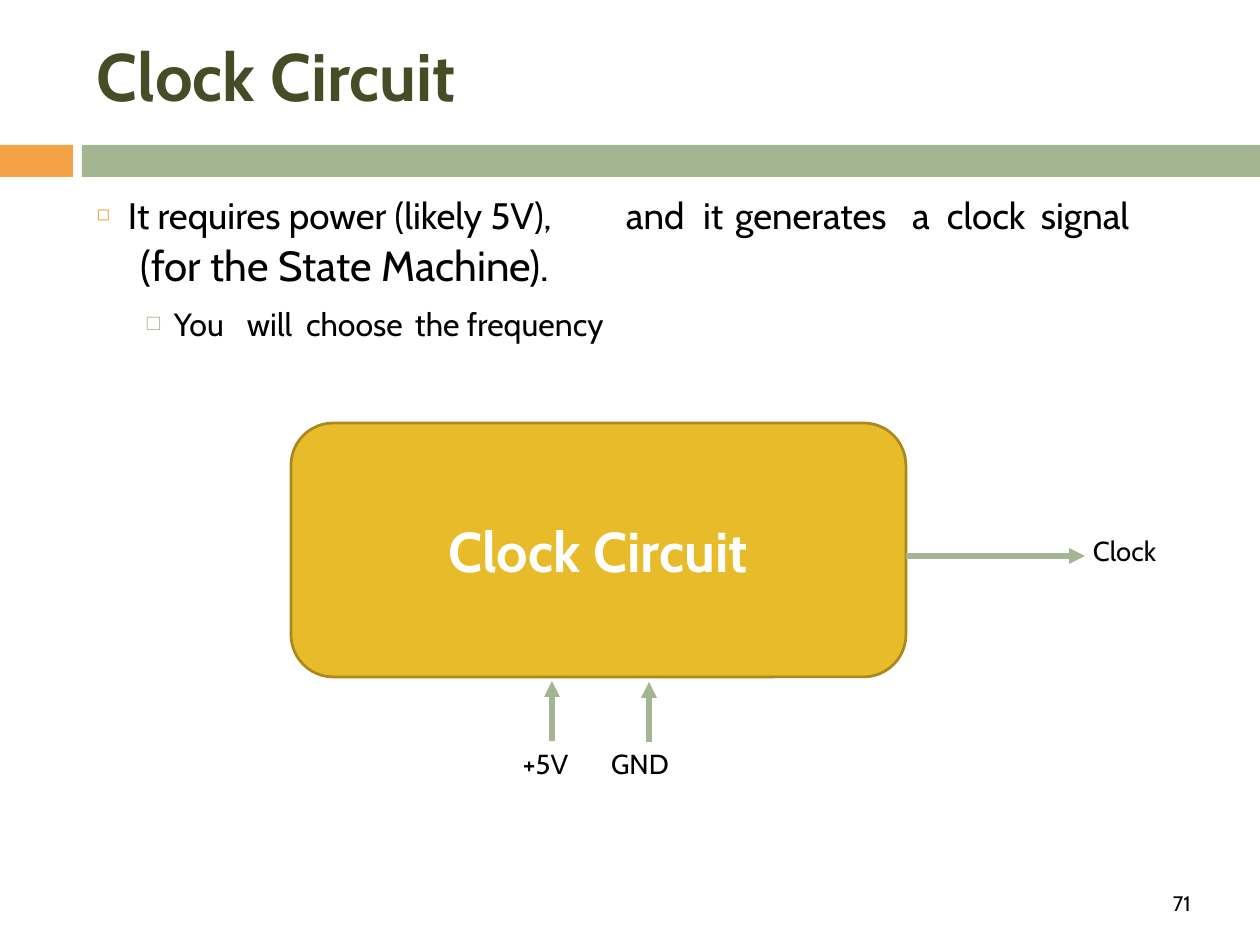
from lxml import etree
from pptx import Presentation
from pptx.dml.color import RGBColor
from pptx.enum.shapes import MSO_CONNECTOR as Connector, MSO_SHAPE as Shape
from pptx.enum.text import MSO_ANCHOR as Anchor, PP_ALIGN as Align
from pptx.oxml.ns import qn
from pptx.util import Emu, Pt

PX_PER_INCH = 126
ASCENT = 0.965  # of the Cabin font, as a share of its size
COLORS = {
    "title": "444D25",
    "orange": "F3A346",
    "green": "A4B592",
    "gold": "E7BB29",
    "outline": "AA881B",
    "black": "000000",
    "white": "FFFFFF",
}
TITLE = {"size": Pt(38.3), "bold": True}
BODY = {"size": Pt(21)}
BODY_WRAPPED = {"size": Pt(24)}
SUB = {"size": Pt(18.3)}
LABEL = {"size": Pt(15.7)}
NUMBER = {"size": Pt(12)}
BLOCK = {"size": Pt(32), "bold": True}


def px(value):
    return Emu(round(value * 914400 / PX_PER_INCH))


def color(name):
    return RGBColor.from_string(COLORS[name])


def write(para, words, style, ink="black"):
    span = para.add_run()
    span.text = words
    for name, value in {"name": "Cabin", **style}.items():
        setattr(span.font, name, value)
    span.font.color.rgb = color(ink)


def add_bullet(para, char, ink, indent, percent):
    props = para._p.get_or_add_pPr()
    props.set("marL", str(px(indent)))
    props.set("indent", str(-px(indent)))
    tint = etree.SubElement(props, qn("a:buClr"))
    etree.SubElement(tint, qn("a:srgbClr"), val=COLORS[ink])
    etree.SubElement(props, qn("a:buSzPct"), val=str(percent * 1000))
    etree.SubElement(props, qn("a:buFont"), typeface="Arial")
    etree.SubElement(props, qn("a:buChar"), char=char)


def add_text(page, words, left, baseline, width, style, ink="black", bullet=None):
    """Place text so that its first line stands on the baseline."""
    size = style["size"].pt * PX_PER_INCH / 72
    box = page.shapes.add_textbox(
        px(left), px(baseline - ASCENT * size), px(width), px(1.22 * size))
    frame = box.text_frame
    margins = dict.fromkeys(
        ("margin_left", "margin_top", "margin_right", "margin_bottom"), 0)
    for name, value in {**margins, "word_wrap": True}.items():
        setattr(frame, name, value)
    para = frame.paragraphs[0]
    if bullet:
        add_bullet(para, *bullet)
    write(para, words, style, ink)
    return box


def add_block(page, kind, left, top, width, height, fill, outline=None):
    block = page.shapes.add_shape(kind, px(left), px(top), px(width), px(height))
    block.shadow.inherit = False
    block.fill.solid()
    block.fill.fore_color.rgb = color(fill)
    if outline:
        block.line.color.rgb = color(outline)
        block.line.width = Pt(1.56)
    else:
        block.line.fill.background()
    return block


def add_arrow(page, start, end):
    arrow = page.shapes.add_connector(
        Connector.STRAIGHT, *(px(value) for value in (*start, *end)))
    arrow.line.color.rgb = color("green")
    arrow.line.width = Pt(3)
    line = arrow.line._get_or_add_ln()
    etree.SubElement(line, qn("a:tailEnd"), type="triangle")
    etree.SubElement(arrow._element.spPr, qn("a:effectLst"))


def add_words(page, words, baseline, style):
    for left, width, word in words:
        add_text(page, word, left, baseline, width, style)


def main():
    deck = Presentation()
    deck.slide_width, deck.slide_height = px(1260), px(945)
    page = deck.slides.add_slide(deck.slide_layouts[6])

    # Title and divider band
    add_block(page, Shape.RECTANGLE, 0, 145, 73, 32, "orange")
    add_block(page, Shape.RECTANGLE, 82, 145, 1178, 32, "green")
    add_text(page, "Clock Circuit", 97, 99, 420, TITLE, "title")

    # Main point, with its spread-out words
    point = add_text(page, "It requires power (likely 5V),", 97, 228, 500, BODY,
                     bullet=("◻", "orange", 31, 58))
    point.height = px(100)
    para = point.text_frame.add_paragraph()
    para._p.get_or_add_pPr().set("marL", str(px(44)))
    para.space_before = Pt(1.4)
    write(para, "(for the State Machine).", BODY_WRAPPED)
    add_words(page, [(626, 70, "and"), (703, 30, "it"), (735, 170, "generates"),
                     (912, 30, "a"), (947, 90, "clock"), (1041, 110, "signal")],
              228, BODY)

    # Sub-point
    add_text(page, "You", 147, 335, 95, SUB, bullet=("□", "green", 27, 69))
    add_words(page, [(247, 56, "will"), (306, 106, "choose"),
                     (415, 215, "the frequency")], 335, SUB)

    # Clock circuit block
    block = add_block(page, Shape.ROUNDED_RECTANGLE, 291, 423, 615, 254,
                      "gold", "outline")
    block.text_frame.vertical_anchor = Anchor.MIDDLE
    para = block.text_frame.paragraphs[0]
    para.alignment = Align.CENTER
    write(para, "Clock Circuit", BLOCK, "white")

    # Output and supply lines
    add_arrow(page, (906, 556), (1085, 556))
    add_arrow(page, (552, 741), (552, 681))
    add_arrow(page, (649, 742), (649, 682))
    add_text(page, "Clock", 1093, 561, 90, LABEL)
    add_text(page, "+5V", 523, 774, 70, LABEL)
    add_text(page, "GND", 611, 774, 80, LABEL)

    # Page number
    add_text(page, "71", 1173, 911, 40, NUMBER)

    deck.save("out.pptx")


if __name__ == "__main__":
    main()
